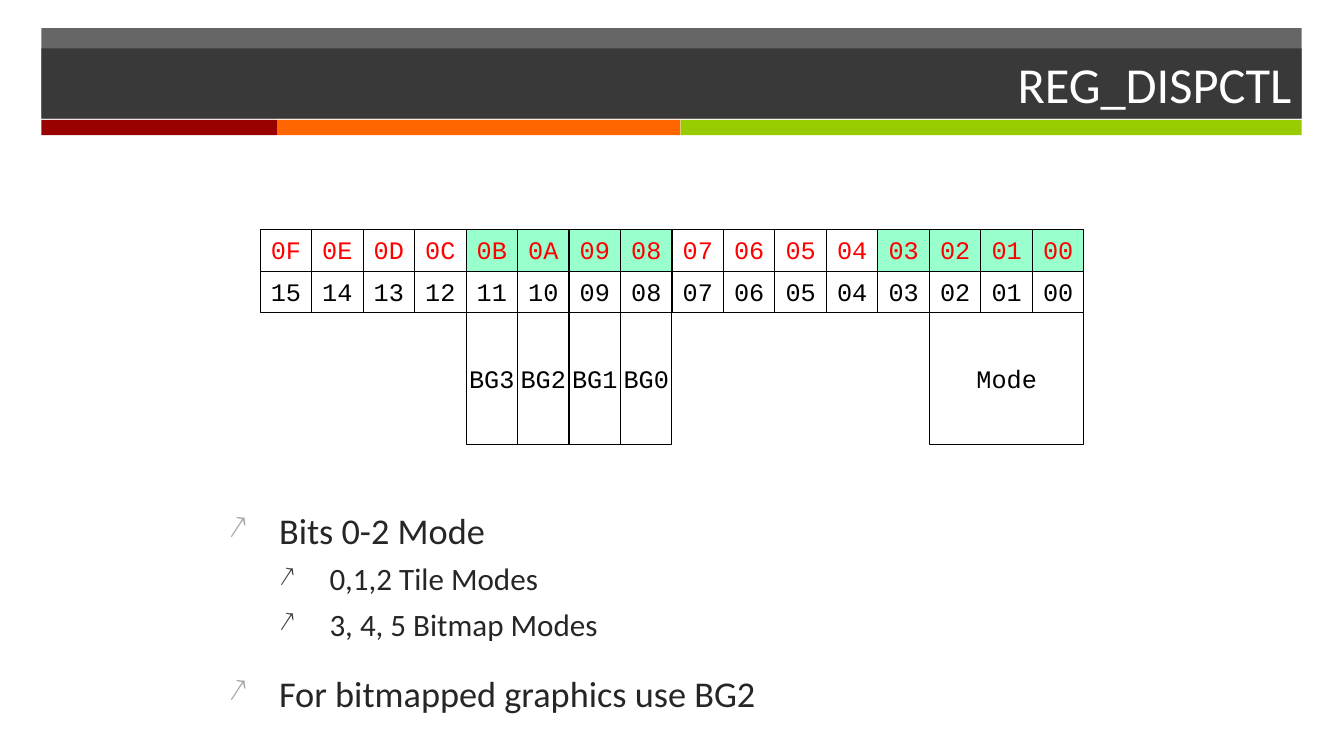
from pptx import Presentation, util as u
from pptx.dml.color import RGBColor
from pptx.enum import shapes, text
from pptx.oxml.ns import qn
from lxml import etree

# Content
TITLE = "REG_DISPCTL"
BITS = 16
USED = {0, 1, 2, 3, 8, 9, 10, 11}
FIELDS = [("Mode", 2, 0), ("BG0", 8, 8), ("BG1", 9, 9),
          ("BG2", 10, 10), ("BG3", 11, 11)]  # label, high bit, low bit
POINTS = [(0, "Bits 0-2 Mode"), (1, "0,1,2 Tile Modes"),
          (1, "3, 4, 5 Bitmap Modes"), (0, "For bitmapped graphics use BG2")]
STRIPES = [("990000", 2.34), ("FF6600", 4), ("99CC00", 6.16)]

THEME = dict(
    sans="Calibri", mono="Courier New", bar="262626", ink="262626",
    white="FFFFFF", black="000000", hex="FF0000", used="99FFCC",
    title=36, cell=18, line=0.75,
    # per level: size, space before, bullet colour
    levels=[(25.9, 20, "A6A6A6"), (22.2, 6, "404040")],
)

# Geometry in inches
EDGE, WIDE = 0.41, 12.5
LEFT, SPAN = 2.58, 8.17
TOP, ROW, DEEP = 2.28, 0.41, 1.31
COL = SPAN / BITS

deck = Presentation()
deck.slide_width, deck.slide_height = u.Inches(13.33), u.Inches(7.5)
slide = deck.slides.add_slide(deck.slide_layouts[6])


def style(para, face, size, color):
    para.font.name = face
    para.font.size = u.Pt(size)
    para.font.color.rgb = RGBColor.from_string(color)


def rect(x, y, w, h, fill=None, line=None, alpha=None):
    box = slide.shapes.add_shape(shapes.MSO_SHAPE.RECTANGLE,
                                 *map(u.Inches, (x, y, w, h)))
    box.shadow.inherit = False
    if fill:
        box.fill.solid()
        box.fill.fore_color.rgb = RGBColor.from_string(fill)
    else:
        box.fill.background()
    if alpha:
        clr = box._element.spPr.find(".//" + qn("a:srgbClr"))
        etree.SubElement(clr, qn("a:alpha"), val=str(alpha * 1000))
    if line:
        box.line.color.rgb = RGBColor.from_string(line)
        box.line.width = u.Pt(THEME["line"])
    else:
        box.line.fill.background()
    return box


def write(box, words, face, size, color, align, anchor):
    frame = box.text_frame
    frame.word_wrap = False
    frame.vertical_anchor = anchor
    para = frame.paragraphs[0]
    para.text, para.alignment = words, align
    style(para, face, size, color)


def cell(words, high, low, y, h, color, fill=None):
    box = rect(LEFT + (BITS - 1 - high) * COL, y, (high - low + 1) * COL, h,
               fill, THEME["black"])
    write(box, words, THEME["mono"], THEME["cell"], color,
          text.PP_ALIGN.CENTER,
          text.MSO_ANCHOR.TOP if h == ROW else text.MSO_ANCHOR.MIDDLE)


def bullet(para, level, color):
    props = para._p.get_or_add_pPr()
    props.set("marL", str(u.Inches(0.5 * (level + 1))))
    props.set("indent", str(u.Inches(-0.5)))
    tint = etree.SubElement(props, qn("a:buClr"))
    etree.SubElement(tint, qn("a:srgbClr"), val=color)
    etree.SubElement(props, qn("a:buSzPct"), val="90000")
    etree.SubElement(props, qn("a:buChar"), char="↗")


# Header bar, stripes and title
rect(EDGE, 0.28, WIDE, 0.89, THEME["bar"], alpha=70)
x = EDGE
for color, w in STRIPES:
    rect(x, 1.19, w, 0.15, color)
    x += w
head = rect(EDGE, 0.48, WIDE, 0.7, THEME["bar"], alpha=70)
write(head, TITLE, THEME["sans"], THEME["title"], THEME["white"],
      text.PP_ALIGN.RIGHT, text.MSO_ANCHOR.MIDDLE)

# Bullet points
body = slide.shapes.add_textbox(*map(u.Inches, (2.17, 4.99, 9, 2.06)))
frame = body.text_frame
frame.word_wrap = True
for i, (level, words) in enumerate(POINTS):
    para = frame.add_paragraph() if i else frame.paragraphs[0]
    size, gap, color = THEME["levels"][level]
    para.text, para.level = words, level
    para.space_before = u.Pt(gap if i else 0)
    bullet(para, level, color)
    style(para, THEME["sans"], size, THEME["ink"])

# Register bits: hex row above decimal row
for bit in reversed(range(BITS)):
    cell(f"{bit:02}", bit, bit, TOP + ROW, ROW, THEME["black"])
    cell(f"{bit:02X}", bit, bit, TOP, ROW, THEME["hex"],
         THEME["used"] if bit in USED else None)

# Named fields under the bits
for name, high, low in FIELDS:
    cell(name, high, low, TOP + 2 * ROW, DEEP, THEME["black"])

deck.save("out.pptx")
